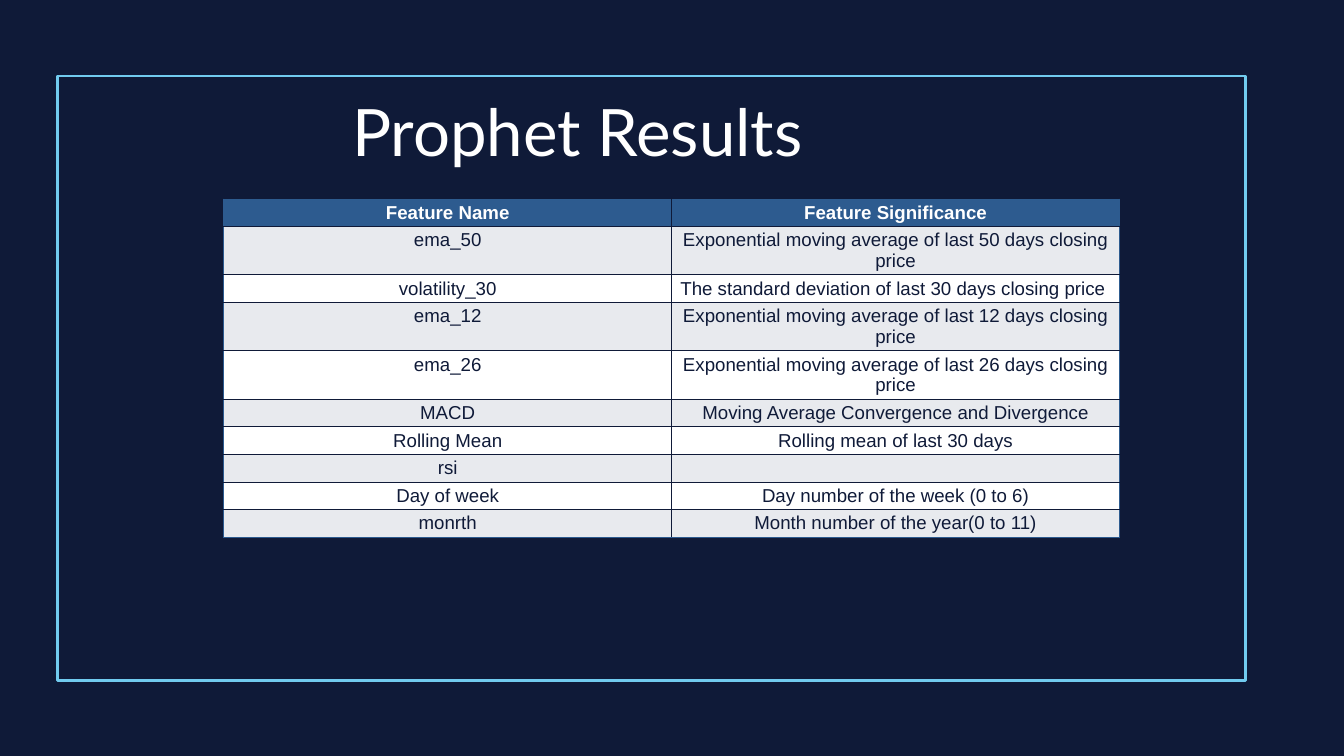
from dataclasses import dataclass
from typing import NamedTuple

from lxml import etree
from pptx import Presentation
from pptx import util as u
from pptx.dml.color import RGBColor
from pptx.enum import shapes, text
from pptx.oxml.ns import qn


@dataclass(frozen=True)
class Theme:
    navy: str = "0F1A38"
    blue: str = "2D5B8F"
    sky: str = "71CBEF"
    band: str = "E8EAEE"
    white: str = "FFFFFF"
    title_font: str = "Lato"
    table_font: str = "Arial"
    title_size: int = 70
    table_size: int = 20


class Feature(NamedTuple):
    name: str
    significance: str


THEME = Theme()
HEADER = Feature("Feature Name", "Feature Significance")
FEATURES = [
    Feature("ema_50", "Exponential moving average of last 50 days closing price"),
    Feature("volatility_30", "The standard deviation of last 30 days closing price "),
    Feature("ema_12", "Exponential moving average of last 12 days closing price"),
    Feature("ema_26", "Exponential moving average of last 26 days closing price"),
    Feature("MACD", "Moving Average Convergence and Divergence"),
    Feature("Rolling Mean", "Rolling mean of last 30 days"),
    Feature("rsi", ""),
    Feature("Day of week", "Day number of the week (0 to 6)"),
    Feature("monrth", "Month number of the year(0 to 11)"),
]


def set_font(paragraph, name: str, size: int, color: str, bold: bool = False) -> None:
    font = paragraph.font
    font.name, font.size, font.bold = name, u.Pt(size), bold
    font.color.rgb = RGBColor.from_string(color)


def add_frame(slide) -> None:
    frame = slide.shapes.add_shape(
        shapes.MSO_SHAPE.RECTANGLE,
        u.Inches(0.85), u.Inches(1.13), u.Inches(17.69), u.Inches(9))
    frame.shadow.inherit = False
    frame.fill.background()
    frame.line.color.rgb = RGBColor.from_string(THEME.sky)
    frame.line.width = u.Pt(3)


def set_title(slide, title: str) -> None:
    shape = slide.shapes.title
    shape.left, shape.top = u.Inches(5.24), u.Inches(1.12)
    shape.width, shape.height = u.Inches(13.42), u.Inches(1.41)
    frame = shape.text_frame
    frame.margin_left = frame.margin_top = frame.margin_right = frame.margin_bottom = 0
    frame.auto_size = text.MSO_AUTO_SIZE.NONE
    frame.vertical_anchor = text.MSO_ANCHOR.TOP
    frame.word_wrap = True
    frame.text = title
    paragraph = frame.paragraphs[0]
    paragraph.alignment = text.PP_ALIGN.LEFT
    paragraph.line_spacing = 1.2
    set_font(paragraph, THEME.title_font, THEME.title_size, THEME.white)


def set_borders(cell, colors: dict[str, str]) -> None:
    # Border elements come before the fill in the cell properties
    properties = cell._tc.get_or_add_tcPr()
    for position, (side, color) in enumerate(colors.items()):
        line = etree.Element(qn(f"a:{side}"), w=str(u.Pt(1)))
        fill = etree.SubElement(line, qn("a:solidFill"))
        etree.SubElement(fill, qn("a:srgbClr"), val=color)
        properties.insert(position, line)


def add_feature_table(slide, rows: list[Feature]) -> None:
    row_count, column_count = len(rows), len(HEADER)
    table = slide.shapes.add_table(
        row_count, column_count, u.Inches(3.33), u.Inches(2.96),
        u.Inches(13.33), u.Inches(0.41 * row_count)).table
    for row, feature in enumerate(rows):
        is_header = row == 0
        if is_header:
            fill = THEME.blue
        else:
            fill = THEME.band if row % 2 else THEME.white
        for column, label in enumerate(feature):
            cell = table.cell(row, column)
            cell.fill.solid()
            cell.fill.fore_color.rgb = RGBColor.from_string(fill)
            # Outer edges are blue, inner rules navy
            outer = {
                "lnL": column == 0,
                "lnR": column == column_count - 1,
                "lnT": is_header,
                "lnB": row == row_count - 1,
            }
            set_borders(cell, {side: THEME.blue if edge else THEME.navy
                               for side, edge in outer.items()})
            cell.text = label
            paragraph = cell.text_frame.paragraphs[0]
            paragraph.alignment = text.PP_ALIGN.CENTER
            set_font(paragraph, THEME.table_font, THEME.table_size,
                     THEME.white if is_header else THEME.navy, bold=is_header)


def main() -> None:
    presentation = Presentation()
    presentation.slide_width = u.Inches(20)
    presentation.slide_height = u.Inches(11.25)

    # Title Only layout on a navy background
    slide = presentation.slides.add_slide(presentation.slide_layouts[5])
    slide.background.fill.solid()
    slide.background.fill.fore_color.rgb = RGBColor.from_string(THEME.navy)

    add_frame(slide)
    set_title(slide, "Prophet Results")
    add_feature_table(slide, [HEADER, *FEATURES])
    presentation.save("out.pptx")


if __name__ == "__main__":
    main()
